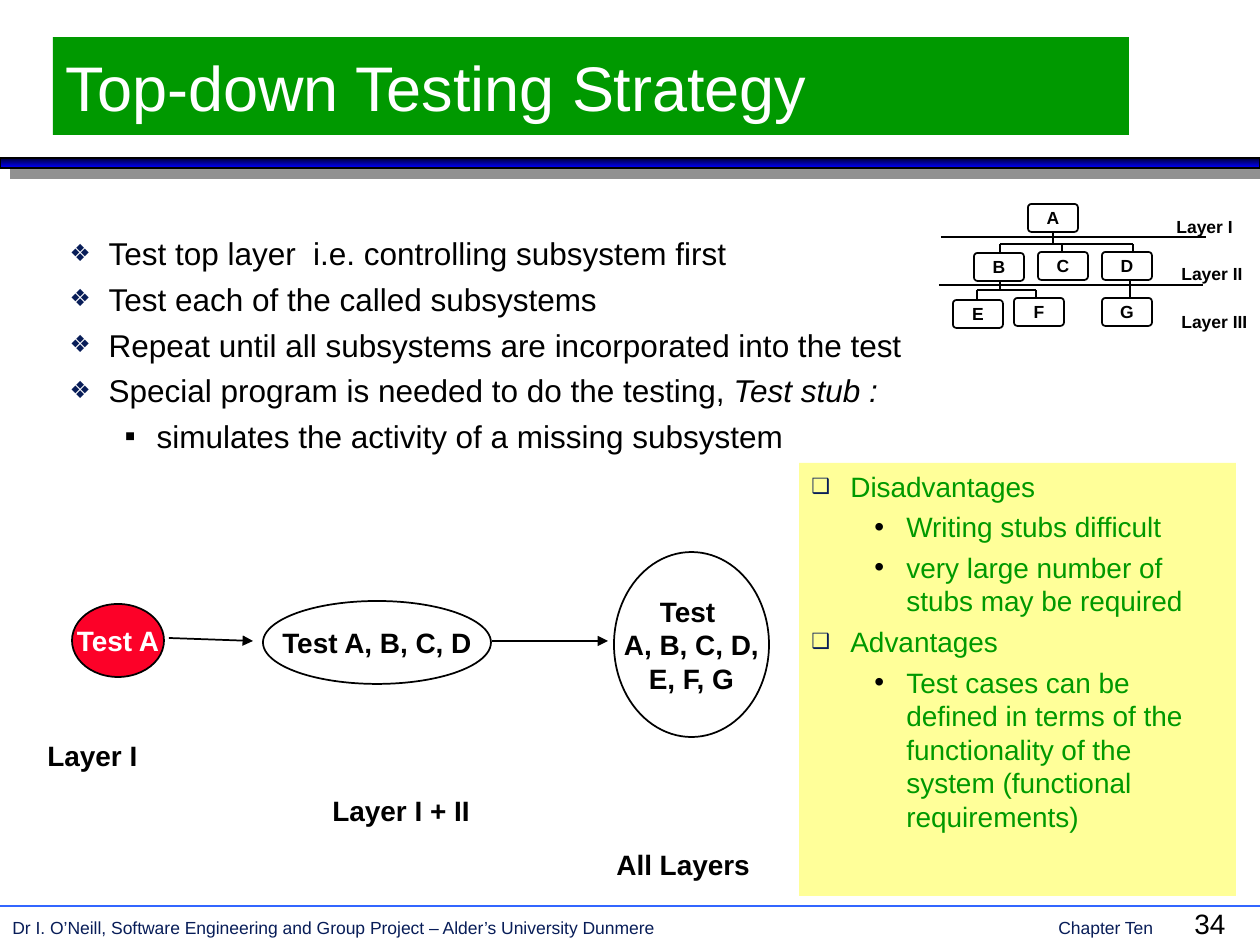
from lxml.etree import SubElement
from pptx import Presentation
from pptx.dml.color import RGBColor
from pptx.enum.shapes import MSO_CONNECTOR, MSO_SHAPE
from pptx.enum.text import MSO_ANCHOR, MSO_AUTO_SIZE, PP_ALIGN
from pptx.oxml.ns import qn
from pptx.util import Emu, Pt

PX = 914400 / 126
BLACK, WHITE, GREEN, NAVY = "000000", "FFFFFF", "009900", "081D58"


def px(n):
    """Turn px into EMU."""
    return Emu(round(n * PX))


def rgb(hex_colour):
    """Turn a hex string into a colour."""
    return RGBColor.from_string(hex_colour)


def apply(obj, values):
    """Set each attribute of obj from a dict."""
    for name, value in values.items():
        setattr(obj, name, value)


def add(parent, tag, **attrs):
    """Append a DrawingML element with the given attributes."""
    return SubElement(parent, qn(f"a:{tag}"), {k: str(v) for k, v in attrs.items()})


def place(sp, x, y, w, h):
    """Move and size a shape."""
    apply(sp, {"left": px(x), "top": px(y), "width": px(w), "height": px(h)})


def frame(sp, anchor=MSO_ANCHOR.TOP, wrap=True):
    """Format the text frame of a shape and return it."""
    tf = sp.text_frame
    apply(tf, {"word_wrap": wrap, "auto_size": MSO_AUTO_SIZE.NONE, "vertical_anchor": anchor,
               "margin_left": Pt(7.2), "margin_right": Pt(7.2),
               "margin_top": Pt(3.6), "margin_bottom": Pt(3.6)})
    return tf


def write(p, text, size, colour=BLACK, **font):
    """Add a formatted run to a paragraph."""
    r = p.add_run()
    r.text = text
    apply(r.font, {"name": "Arial", "size": Pt(size), **font})
    r.font.color.rgb = rgb(colour)


def fill_lines(tf, lines, size, colour=BLACK, align=PP_ALIGN.LEFT, **font):
    """Write plain paragraphs into a text frame."""
    for i, line in enumerate(lines):
        p = tf.add_paragraph() if i else tf.paragraphs[0]
        p.alignment = align
        write(p, line, size, colour, **font)


def label(shapes, x, y, w, h, text, size, colour=BLACK, **font):
    """Add a one-line text box."""
    sp = shapes.add_textbox(px(x), px(y), px(w), px(h))
    fill_lines(frame(sp, wrap=False), [text], size, colour, **font)


def shape(shapes, kind, x, y, w, h, fill=None, outline=None):
    """Add a preset shape without shadow."""
    sp = shapes.add_shape(kind, px(x), px(y), px(w), px(h))
    sp.shadow.inherit = False
    for part, colour in ((sp.fill, fill), (sp.line.fill, outline)):
        if colour:
            part.solid()
            part.fore_color.rgb = rgb(colour)
        else:
            part.background()
    if outline:
        sp.line.width = Pt(1)
    return sp


def line(shapes, x1, y1, x2, y2, colour=BLACK, arrow=False):
    """Add a straight line, with an arrowhead if asked."""
    c = shapes.add_connector(MSO_CONNECTOR.STRAIGHT, px(x1), px(y1), px(x2), px(y2))
    c.line.color.rgb = rgb(colour)
    c.line.width = Pt(1)
    if arrow:
        add(c.line._get_or_add_ln(), "tailEnd", type="triangle")
    add(c._element.spPr, "effectLst")


def bullets(tf, items, levels, size, before, colour=BLACK):
    """Write bulleted paragraphs; levels hold margin, hang, mark, its colour and percent."""
    for i, (level, text, *italic) in enumerate(items):
        p = tf.add_paragraph() if i else tf.paragraphs[0]
        apply(p, {"level": level, "space_before": Pt(before), "alignment": PP_ALIGN.LEFT})
        margin, hang, mark, mark_colour, percent = levels[level]
        pPr = p._p.get_or_add_pPr()
        pPr.set("marL", str(px(margin)))
        pPr.set("indent", str(px(-hang)))
        add(add(pPr, "buClr"), "srgbClr", val=mark_colour)
        add(pPr, "buSzPct", val=percent * 1000)
        add(pPr, "buFont", typeface="Arial")
        add(pPr, "buChar", char=mark)
        write(p, text, size, colour)
        for part in italic:
            write(p, part, size, colour, italic=True)


def title(s, x, y, w, h):
    """Fill the title placeholder."""
    sp = s.shapes.title
    place(sp, x, y, w, h)
    sp.fill.solid()
    sp.fill.fore_color.rgb = rgb(GREEN)
    fill_lines(frame(sp, MSO_ANCHOR.MIDDLE), ["Top-down Testing Strategy"], 36, WHITE)


def header_bar(s, x, y, w, h):
    """Draw the gradient bar with its shadow."""
    sp = shape(s.shapes, MSO_SHAPE.RECTANGLE, x, y, w, h, outline=BLACK)
    sp.fill.gradient()
    sp.fill.gradient_angle = 270
    for stop, colour in zip(sp.fill.gradient_stops, ("000036", "0000FF")):
        stop.color.rgb = rgb(colour)
    effects = sp._element.spPr.find(qn("a:effectLst"))
    shadow = add(effects, "outerShdw", dist=Pt(8.5), dir=45 * 60000, algn="ctr", rotWithShape=0)
    add(shadow, "srgbClr", val="919191")


def body(s, x, y, w, h):
    """Fill the body placeholder with the steps."""
    sp = s.placeholders[1]
    place(sp, x, y, w, h)
    items = [(0, "Test top layer  i.e. controlling subsystem first"),
             (0, "Test each of the called subsystems"),
             (0, "Repeat until all subsystems are incorporated into the test"),
             (0, "Special program is needed to do the testing, ", "Test stub :"),
             (1, "simulates the activity of a missing subsystem")]
    levels = [(39, 39, "❖", NAVY, 75), (87, 32, "▪", BLACK, 100)]
    bullets(frame(sp), items, levels, 18, 4.5)


def panel(s, x, y, w, h):
    """Draw the panel of disadvantages and advantages."""
    sp = shape(s.shapes, MSO_SHAPE.RECTANGLE, x, y, w, h, fill="FFFF99")
    items = [(0, "Disadvantages"), (1, "Writing stubs difficult"),
             (1, "very large number of stubs may be required"), (0, "Advantages"),
             (1, "Test cases can be defined in terms of the functionality of the system "
                 "(functional requirements)")]
    levels = [(39, 39, "❑", NAVY, 75), (95, 32, "•", BLACK, 100)]
    bullets(frame(sp), items, levels, 16, 4, GREEN)


def flow(s, x, y):
    """Draw the test stages, their labels and the arrows."""
    stages = [((37, 52, 92, 73), "FC0128", WHITE, ["Test A"], (0, 180, 115), "Layer I"),
              ((228, 49, 228, 83), None, BLACK, ["Test A, B, C, D"], (285, 235, 163), "Layer I + II"),
              ((579, 0, 155, 185), None, BLACK, ["Test ", "A, B, C, D,", "E, F, G"],
               (569, 289, 159), "All Layers")]
    for (dx, dy, w, h), fill, colour, lines, (lx, ly, lw), name in stages:
        sp = shape(s.shapes, MSO_SHAPE.OVAL, x + dx, y + dy, w, h, fill, BLACK)
        fill_lines(frame(sp, MSO_ANCHOR.MIDDLE, False), lines, 16, colour,
                   PP_ALIGN.CENTER, bold=True)
        label(s.shapes, x + lx, y + ly, lw, 45, name, 16, bold=True)
    for x1, y1, x2, y2 in ((134, 86, 218, 89), (457, 89, 573, 89)):
        line(s.shapes, x + x1, y + y1, x + x2, y + y2, arrow=True)


def tree(s, x, y):
    """Draw the layered tree of subsystems as a group."""
    shapes = s.shapes.add_group_shape().shapes
    nodes = {"A": (89, 0), "B": (35, 49), "C": (99, 48), "D": (163, 48),
             "G": (163, 94), "F": (75, 94), "E": (14, 96)}
    for name, (dx, dy) in nodes.items():
        sp = shape(shapes, MSO_SHAPE.ROUNDED_RECTANGLE, x + dx, y + dy, 50, 28, outline=BLACK)
        sp.adjustments[0] = 0.125
        fill_lines(frame(sp, MSO_ANCHOR.MIDDLE, False), [name], 10,
                   align=PP_ALIGN.CENTER, bold=True)
    branches = [(114, 28, 114, 40), (61, 40, 194, 40), (61, 40, 61, 49), (123, 40, 123, 48),
                (194, 40, 194, 48), (61, 77, 61, 86), (38, 86, 97, 86), (38, 86, 38, 96),
                (97, 86, 97, 94), (191, 76, 191, 94)]
    layers = [(2, 33, 267, 33), (0, 81, 264, 81)]
    for x1, y1, x2, y2 in branches + layers:
        line(shapes, x + x1, y + y1, x + x2, y + y2)
    for dx, dy, w, name in ((225, 6, 81, "Layer I"), (230, 53, 86, "Layer II"),
                            (230, 101, 91, "Layer III")):
        label(shapes, x + dx, y + dy, w, 33, name, 10, bold=True)


def footer(s, x, y, w):
    """Draw the footer rule, texts and slide number."""
    line(s.shapes, x, y, x + w, y, "3366FF")
    label(s.shapes, x, y + 5, 662, 33, "Dr I. O’Neill, Software Engineering and Group Project – "
          "Alder’s University Dunmere", 10, NAVY)
    label(s.shapes, x + 1046, y + 5, 121, 33, "Chapter Ten", 10, NAVY)
    label(s.shapes, x + 1182, y - 6, 63, 47, "34", 16)


def main():
    """Build the slide and save it."""
    prs = Presentation()
    apply(prs, {"slide_width": px(1260), "slide_height": px(945)})
    s = prs.slides.add_slide(prs.slide_layouts[1])
    footer(s, 0, 906, 1260)
    header_bar(s, 0, 158, 1260, 10)
    title(s, 53, 37, 1076, 98)
    body(s, 57, 228, 1138, 662)
    flow(s, 35, 552)
    panel(s, 799, 463, 437, 433)
    tree(s, 939, 204)
    prs.save("out.pptx")


if __name__ == "__main__":
    main()
